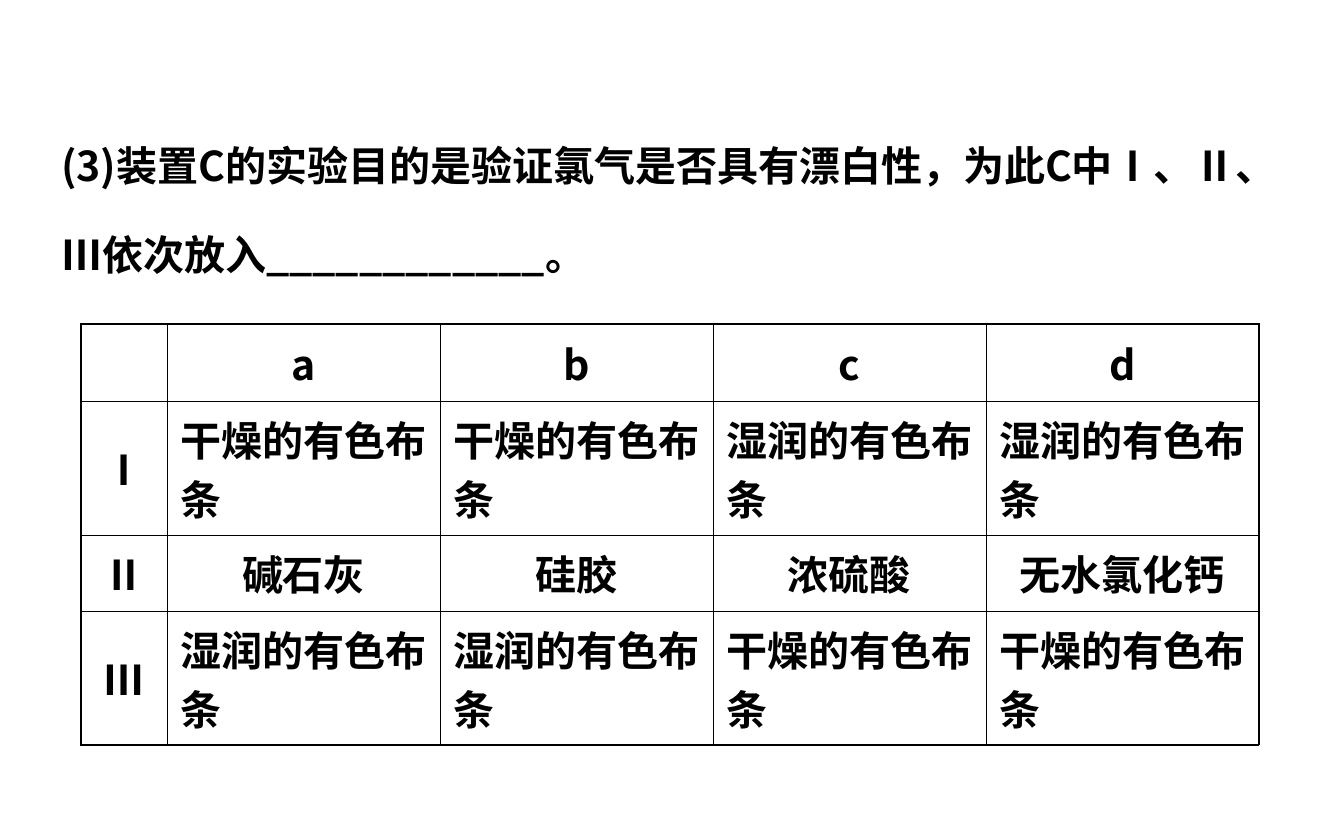
import pptx
import pptx.dml.color
import pptx.enum.text
import pptx.oxml.ns
import pptx.util
from lxml import etree

PX = 914400 / 134.4  # EMU per px
FONT = "Noto Sans CJK SC"
COLORS = {"text": "000000", "border": "000000"}
PP_ALIGN = pptx.enum.text.PP_ALIGN
qn = pptx.oxml.ns.qn


def px(n):
    return pptx.util.Emu(round(n * PX))


def add_run(p, text):
    r = p.add_run()
    r.text = text
    r.font.size = pptx.util.Pt(22)
    r.font.bold = True
    r.font.color.rgb = pptx.dml.color.RGBColor.from_string(COLORS["text"])
    r.font.name = FONT
    etree.SubElement(r.font._element, qn("a:ea"), typeface=FONT)


prs = pptx.Presentation()
prs.slide_width, prs.slide_height = px(1344), px(840)
s = prs.slides.add_slide(prs.slide_layouts[6])

# Question
sp = s.shapes.add_textbox(px(48), px(95), px(1267), px(191))
tf = sp.text_frame
tf.word_wrap = True
p = tf.paragraphs[0]
p.line_spacing = 1.8
add_run(p, "(3)装置C的实验目的是验证氯气是否具有漂白性，为此C中Ⅰ、Ⅱ、Ⅲ依次放入____________。")

# Answer options
dry, wet = "干燥的有色布条", "湿润的有色布条"
rows = [
    ["", "a", "b", "c", "d"],
    ["Ⅰ", dry, dry, wet, wet],
    ["Ⅱ", "碱石灰", "硅胶", "浓硫酸", "无水氯化钙"],
    ["Ⅲ", wet, wet, dry, dry],
]
col_widths = [86] + [273] * 4
row_heights = [77, 134, 76, 134]
last_row, last_col = len(rows) - 1, len(col_widths) - 1

table = s.shapes.add_table(len(rows), len(col_widths), px(81), px(324),
                           px(sum(col_widths)), px(sum(row_heights))).table
table.first_row = table.horz_banding = False
for col, width in zip(table.columns, col_widths):
    col.width = px(width)
for row, height in zip(table.rows, row_heights):
    row.height = px(height)

for i, texts in enumerate(rows):
    for j, text in enumerate(texts):
        cell = table.cell(i, j)
        cell.fill.background()
        cell.vertical_anchor = pptx.enum.text.MSO_ANCHOR.MIDDLE
        p = cell.text_frame.paragraphs[0]
        p.alignment = PP_ALIGN.LEFT if text in (dry, wet) else PP_ALIGN.CENTER
        if text:
            add_run(p, text)

        # Outer edges are heavier than inner ones
        tcPr = cell._tc.get_or_add_tcPr()
        outer = {"L": j == 0, "R": j == last_col, "T": i == 0, "B": i == last_row}
        for k, (side, is_outer) in enumerate(outer.items()):
            width = pptx.util.Pt(0.75 if is_outer else 0.45)
            ln = etree.Element(qn(f"a:ln{side}"), w=str(width))
            fill = etree.SubElement(ln, qn("a:solidFill"))
            etree.SubElement(fill, qn("a:srgbClr"), val=COLORS["border"])
            tcPr.insert(k, ln)

prs.save("out.pptx")
